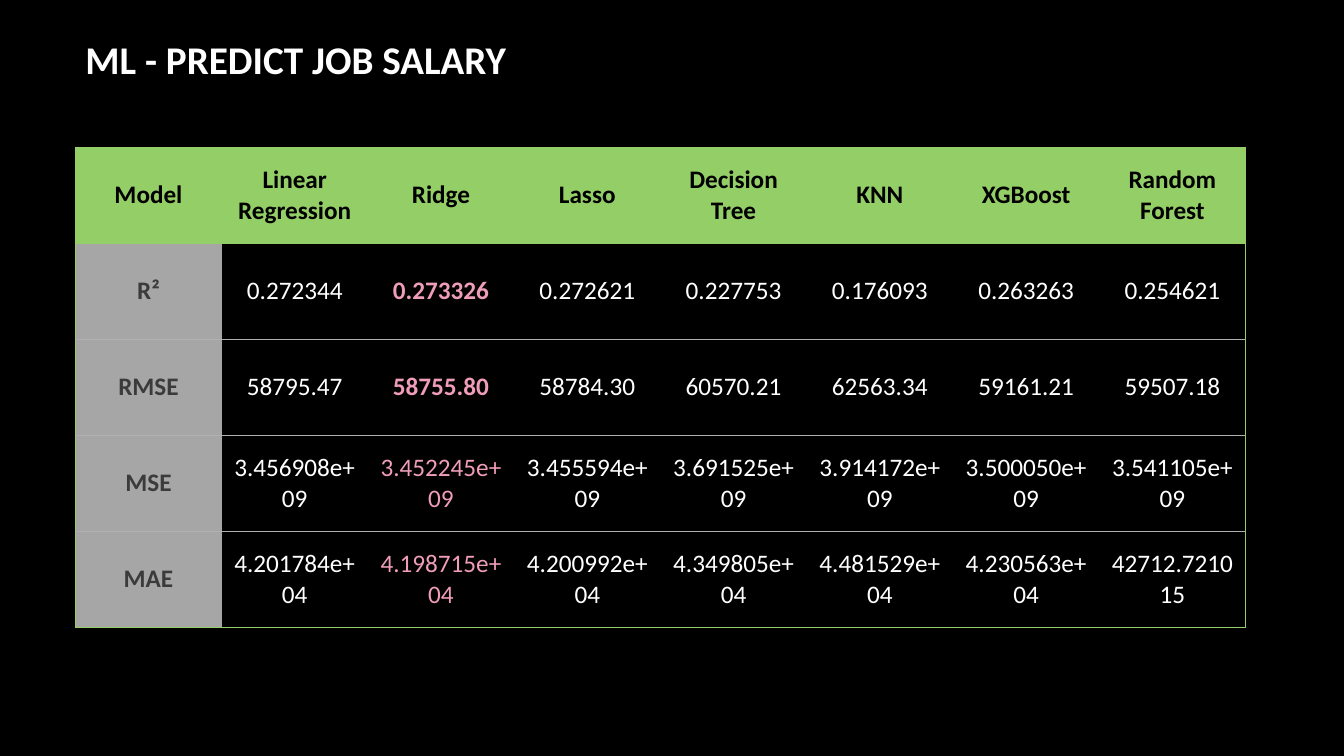
from dataclasses import dataclass
from typing import Optional

from lxml.etree import SubElement
from pptx import Presentation
from pptx.dml.color import RGBColor
from pptx.enum.text import MSO_ANCHOR as Anchor, PP_ALIGN as Align
from pptx.oxml.ns import qn
from pptx.util import Pt


@dataclass(frozen=True)
class Theme:
    font: str = "Calibri"
    title_size: float = 28
    table_size: float = 18
    background: str = "000000"
    text: str = "FFFFFF"
    header_text: str = "000000"
    label_text: str = "3B3B3B"
    best_text: str = "EF9DB9"
    header_fill: str = "94CE67"
    label_fill: str = "A6A6A6"
    frame: str = "94CE67"
    row_line: str = "B0B0B0"
    line_width: float = 0.75


@dataclass(frozen=True)
class Metric:
    name: str
    scores: tuple[str, ...]
    bold_best: bool = False


@dataclass(frozen=True)
class CellStyle:
    color: str
    fill: str
    bold: bool = False


THEME = Theme()
MODELS = ("Linear Regression", "Ridge", "Lasso", "Decision Tree", "KNN", "XGBoost", "Random Forest")
BEST_COLUMN = MODELS.index("Ridge") + 1
METRICS = (
    Metric("R²", ("0.272344", "0.273326", "0.272621", "0.227753",
                  "0.176093", "0.263263", "0.254621"), True),
    Metric("RMSE", ("58795.47", "58755.80", "58784.30", "60570.21",
                    "62563.34", "59161.21", "59507.18"), True),
    Metric("MSE", ("3.456908e+09", "3.452245e+09", "3.455594e+09", "3.691525e+09",
                   "3.914172e+09", "3.500050e+09", "3.541105e+09")),
    Metric("MAE", ("4.201784e+04", "4.198715e+04", "4.200992e+04", "4.349805e+04",
                   "4.481529e+04", "4.230563e+04", "42712.721015")),
)
TABLE_LEFT, TABLE_TOP = 53.8, 105.2
COLUMN_WIDTH, ROW_HEIGHT = 104.5, 68.57


def add_run(paragraph, text: str, size: float, color: str, bold: bool) -> None:
    run = paragraph.add_run()
    run.text = text
    run.font.name = THEME.font
    run.font.size = Pt(size)
    run.font.bold = bold
    run.font.color.rgb = RGBColor.from_string(color)


def add_title(slide, text: str) -> None:
    frame = slide.shapes.add_textbox(Pt(54), Pt(0), Pt(798), Pt(84)).text_frame
    frame.word_wrap = True
    frame.vertical_anchor = Anchor.MIDDLE
    add_run(frame.paragraphs[0], text, THEME.title_size, THEME.text, True)


def set_border(cell, side: str, color: Optional[str]) -> None:
    properties = cell._tc.get_or_add_tcPr()
    line = SubElement(properties, qn(f"a:ln{side}"), w=str(Pt(THEME.line_width)))
    if color is None:
        SubElement(line, qn("a:noFill"))
    else:
        fill = SubElement(line, qn("a:solidFill"))
        SubElement(fill, qn("a:srgbClr"), val=color)


def horizontal_line(edge: int) -> str:
    return THEME.frame if edge in (0, 1, len(METRICS) + 1) else THEME.row_line


def vertical_line(edge: int) -> Optional[str]:
    return THEME.frame if edge in (0, len(MODELS) + 1) else None


def style_for(row: int, column: int) -> CellStyle:
    if row == 0:
        return CellStyle(THEME.header_text, THEME.header_fill, True)
    if column == 0:
        return CellStyle(THEME.label_text, THEME.label_fill, True)
    if column == BEST_COLUMN:
        return CellStyle(THEME.best_text, THEME.background, METRICS[row - 1].bold_best)
    return CellStyle(THEME.text, THEME.background)


def fill_cell(cell, text: str, row: int, column: int) -> None:
    style = style_for(row, column)
    set_border(cell, "L", vertical_line(column))
    set_border(cell, "R", vertical_line(column + 1))
    set_border(cell, "T", horizontal_line(row))
    set_border(cell, "B", horizontal_line(row + 1))
    cell.fill.solid()
    cell.fill.fore_color.rgb = RGBColor.from_string(style.fill)
    cell.vertical_anchor = Anchor.MIDDLE
    paragraph = cell.text_frame.paragraphs[0]
    paragraph.alignment = Align.CENTER
    add_run(paragraph, text, THEME.table_size, style.color, style.bold)


def add_score_table(slide) -> None:
    rows = [("Model", *MODELS)] + [(metric.name, *metric.scores) for metric in METRICS]
    row_count, column_count = len(rows), len(rows[0])
    table = slide.shapes.add_table(
        row_count, column_count, Pt(TABLE_LEFT), Pt(TABLE_TOP),
        Pt(COLUMN_WIDTH * column_count), Pt(ROW_HEIGHT * row_count),
    ).table
    for column in table.columns:
        column.width = Pt(COLUMN_WIDTH)
    for row_index, texts in enumerate(rows):
        table.rows[row_index].height = Pt(ROW_HEIGHT)
        for column_index, text in enumerate(texts):
            fill_cell(table.cell(row_index, column_index), text, row_index, column_index)


def main() -> None:
    presentation = Presentation()
    presentation.slide_width = Pt(960)
    presentation.slide_height = Pt(540)
    slide = presentation.slides.add_slide(presentation.slide_layouts[6])
    slide.background.fill.solid()
    slide.background.fill.fore_color.rgb = RGBColor.from_string(THEME.background)
    add_title(slide, "ML - PREDICT JOB SALARY")
    add_score_table(slide)
    presentation.save("out.pptx")


if __name__ == "__main__":
    main()
